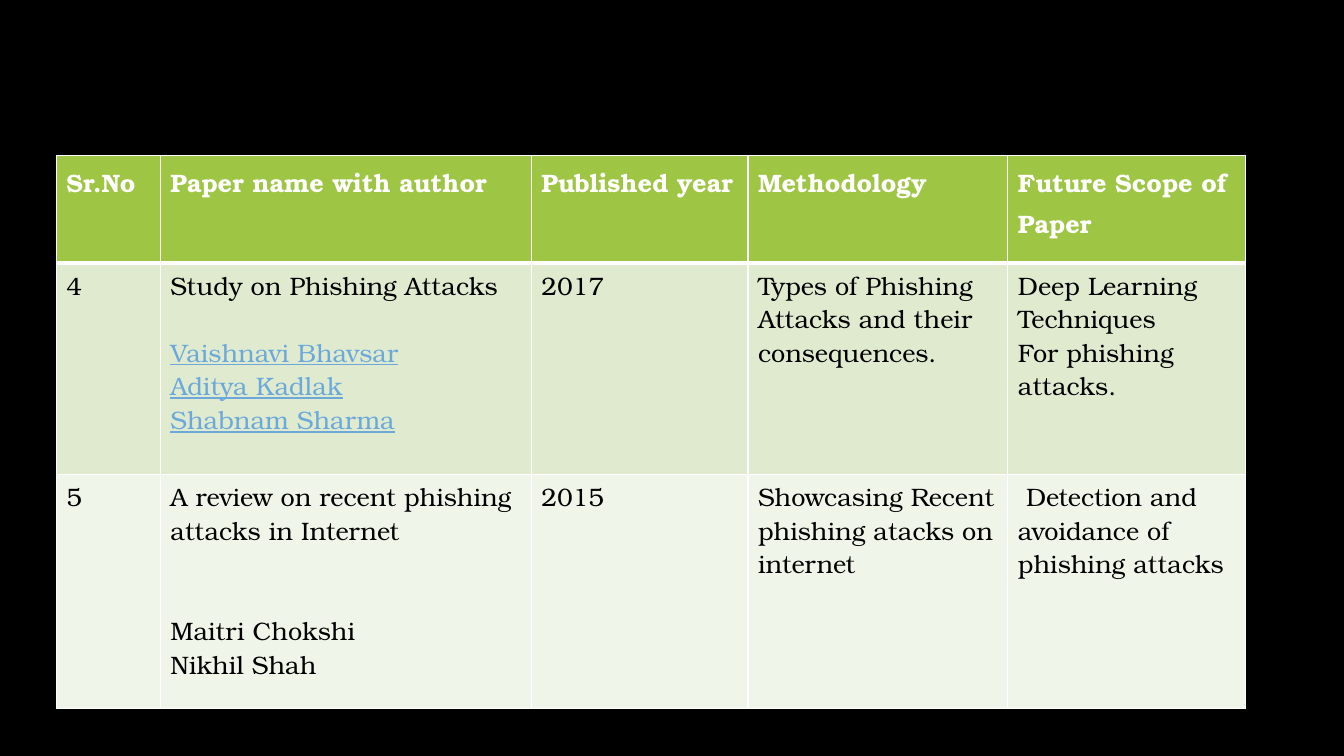
from lxml import etree
from pptx import Presentation
from pptx.dml.color import RGBColor
from pptx.oxml.ns import qn
from pptx.util import Cm, Pt

COLORS = {"back": "000000", "head": "9EC544", "odd": "DFEACF", "even": "F0F5E9",
          "text": "000000", "link": "6BA9DA", "line": "FFFFFF"}
FONT = "TeX Gyre Bonum"
GAP = 24  # points in one line of body text


def color(name):
    return RGBColor.from_string(COLORS[name])


def add_edges(cell, widths):
    props = cell._tc.get_or_add_tcPr()
    for spot, (side, width) in enumerate(widths.items()):
        line = etree.Element(qn("a:ln" + side), w=str(Pt(width)))
        fill = etree.SubElement(line, qn("a:solidFill"))
        etree.SubElement(fill, qn("a:srgbClr"), val=COLORS["line"])
        props.insert(spot, line)


# Slide
deck = Presentation()
deck.slide_width, deck.slide_height = Cm(33.87), Cm(19.05)
slide = deck.slides.add_slide(deck.slide_layouts[6])
slide.background.fill.solid()
slide.background.fill.fore_color.rgb = color("back")

# Papers: each cell is a list of paragraphs
rows = [
    [["Sr.No"], ["Paper name with author"], ["Published year"], ["Methodology"],
     ["Future Scope of Paper"]],
    [["4"],
     ["Study on Phishing Attacks", "Vaishnavi Bhavsar", "Aditya Kadlak", "Shabnam Sharma"],
     ["2017"], ["Types of Phishing Attacks and their consequences."],
     ["Deep Learning Techniques", "For phishing attacks."]],
    [["5"],
     ["A review on recent phishing attacks in Internet", "Maitri Chokshi", "Nikhil Shah"],
     ["2015"], ["Showcasing Recent phishing atacks on internet"],
     [" Detection and avoidance of phishing attacks"]],
]
fills = ["head", "odd", "even"]
gaps = [0, GAP, 2 * GAP]  # space between paper and authors
widths = [2.62, 9.35, 5.46, 6.55, 5.99]
heights = [2.72, 5.33, 5.89]

# Table
table = slide.shapes.add_table(len(rows), len(widths), Cm(1.42), Cm(3.91),
                               Cm(sum(widths)), Cm(sum(heights))).table
for col, width in zip(table.columns, widths):
    col.width = Cm(width)
for row, height in zip(table.rows, heights):
    row.height = Cm(height)

# Cells
for r, row in enumerate(rows):
    for c, lines in enumerate(row):
        cell = table.cell(r, c)
        cell.fill.solid()
        cell.fill.fore_color.rgb = color(fills[r])
        add_edges(cell, {"L": 1, "R": 1, "T": 3 if r == 1 else 1, "B": 3 if r == 0 else 1})
        frame = cell.text_frame
        frame.text = "\n".join(lines)
        for n, para in enumerate(frame.paragraphs):
            link = r == 1 and c == 1 and n > 0
            if r == 0:
                para.line_spacing = 1.1
            if c == 1 and n == 1:
                para.space_before = Pt(gaps[r])
            font = para.runs[0].font
            style = {"name": FONT, "size": Pt(18), "bold": r == 0, "underline": link}
            for key, value in style.items():
                setattr(font, key, value)
            font.color.rgb = color("line" if r == 0 else "link" if link else "text")

deck.save("out.pptx")
